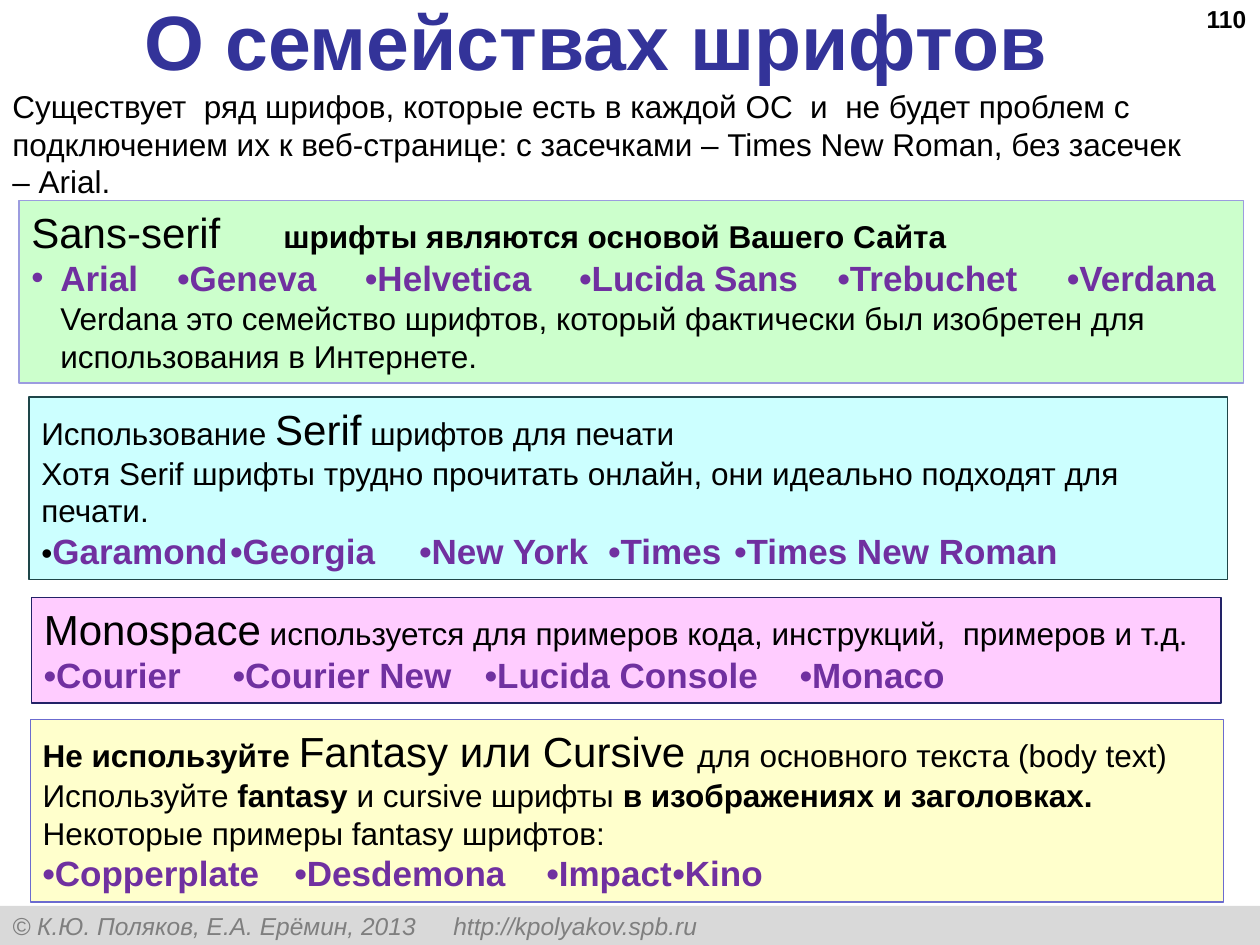
from lxml import etree
from pptx import Presentation
from pptx import util as u
from pptx.dml.color import RGBColor
from pptx.enum import shapes, text
from pptx.oxml.ns import qn

Inches, Pt = u.Inches, u.Pt
BLACK, PURPLE = "000000", "7030A0"


def style(font, size, color=BLACK, bold=False):
    font.name = "Arial"
    font.size = Pt(size)
    font.bold = bold
    font.color.rgb = RGBColor.from_string(color)


def add_paragraph(frame, runs, tabs=(), margin=0, bullet=None, align="l"):
    """Fill the empty first paragraph or append one; a run is (text, size, color, bold)."""
    paragraph = frame.paragraphs[0]
    if paragraph.runs:
        paragraph = frame.add_paragraph()
    properties = paragraph._p.get_or_add_pPr()
    properties.set("marL", str(Inches(margin)))
    properties.set("indent", str(-Inches(margin) if bullet else 0))
    properties.set("algn", align)
    if bullet:
        color = etree.SubElement(properties, qn("a:buClr"))
        etree.SubElement(color, qn("a:srgbClr"), val=PURPLE)
        etree.SubElement(properties, qn("a:buFont"), typeface="Arial")
        etree.SubElement(properties, qn("a:buChar"), char=bullet)
    if tabs:
        tab_list = etree.SubElement(properties, qn("a:tabLst"))
        for position, side in tabs:
            etree.SubElement(tab_list, qn("a:tab"), pos=str(Inches(position)), algn=side)
    if len(runs) == 1:
        style(paragraph.font, *runs[0][1:])
    for wording, *look in runs:
        run = paragraph.add_run()
        run.text = wording
        if len(runs) > 1:
            style(run.font, *look)
    return paragraph


prs = Presentation()
prs.slide_width, prs.slide_height = Inches(10), Inches(7.5)
slide = prs.slides.add_slide(prs.slide_layouts[6])

# Footer band
footer = slide.shapes.add_shape(
    shapes.MSO_SHAPE.RECTANGLE, Inches(0), Inches(7.19), Inches(10), Inches(0.31))
footer.shadow.inherit = False
footer.fill.solid()
footer.fill.fore_color.rgb = RGBColor.from_string("D9D9D9")
footer.line.fill.background()
footer.text_frame.vertical_anchor = text.MSO_ANCHOR.MIDDLE
credit = add_paragraph(
    footer.text_frame,
    [("© К.Ю. Поляков, Е.А. Ерёмин, 2013\thttp://kpolyakov.spb.ru", 14, "7F7F7F")],
    tabs=[(9.61, "r")])
credit.font.italic = True

# Title, page number and introduction
headings = [
    ((0, 0, 9.46, 0.63), "ctr", text.MSO_ANCHOR.MIDDLE,
     ("О семействах шрифтов", 44, "333399", True)),
    ((7.66, -0.02, 2.33, 0.52), "r", text.MSO_ANCHOR.TOP, ("110", 14, BLACK, True)),
    ((0, 0.64, 9.62, 1.01), "l", text.MSO_ANCHOR.TOP,
     ("Существует  ряд шрифов, которые есть в каждой OC  и  не будет проблем с "
      "подключением их к веб-странице: с засечками – Times New Roman, без засечек – Arial.",
      18)),
]
for place, align, anchor, wording in headings:
    frame = slide.shapes.add_textbox(*map(Inches, place)).text_frame
    frame.word_wrap = True
    frame.vertical_anchor = anchor
    add_paragraph(frame, [wording], align=align)

# Font families: place, fill, line, paragraphs as (runs, tab stops, margin, bullet)
families = [
    ((0.15, 1.59, 9.72, 1.45), "CCFFCC", "9C9CDF", [
        ([("Sans-serif\t", 24), ("шрифты являются основой Вашего Сайта", 18, BLACK, True)],
         [1.85]),
        ([("Arial\t•Geneva\t•Helvetica\t•Lucida Sans\t•Trebuchet\t•Verdana",
           20, PURPLE, True)], [1.16, 2.65, 4.35, 6.4, 8.22], 0.23, "•"),
        ([("Verdana это семейство шрифтов, который фактически был изобретен для "
           "использования в Интернете.", 18)], [], 0.23),
    ]),
    ((0.23, 3.15, 9.51, 1.45), "CCFFFF", "1E4649", [
        ([("Использование ", 18), ("Serif", 24), (" шрифтов для печати", 18)],),
        ([("Хотя Serif шрифты трудно прочитать онлайн, они идеально подходят для печати.",
           18)],),
        ([("•", 18),
          ("Garamond\t•Georgia\t•New York\t•Times\t•Times New Roman", 20, PURPLE, True)],
         [1.71, 3.24, 5.12, 6.72]),
    ]),
    ((0.25, 4.74, 9.44, 0.84), "FFCCFF", "222267", [
        ([("Monospace", 24),
          (" используется для примеров кода, инструкций,  примеров и т.д.", 18)],),
        ([("•Courier\t•Courier New\t•Lucida Console\t•Monaco", 20, PURPLE, True)],
         [1.39, 3.36, 5.83]),
    ]),
    ((0.24, 5.71, 9.47, 1.45), "FFFFCC", "6B6BCF", [
        ([("Не используйте ", 18, BLACK, True), ("Fantasy или Cursive ", 24),
          ("для основного текста (body text)", 18)],),
        ([("Используйте ", 18), ("fantasy ", 18, BLACK, True), ("и cursive шрифты ", 18),
          ("в изображениях и заголовках.", 18, BLACK, True)],),
        ([("Некоторые примеры fantasy шрифтов:", 18)],),
        ([("•Copperplate\t•Desdemona\t•Impact\t•Kino", 20, PURPLE, True)],
         [1.95, 3.86, 5.16]),
    ]),
]
for place, fill, line, paragraphs in families:
    panel = slide.shapes.add_shape(shapes.MSO_SHAPE.RECTANGLE, *map(Inches, place))
    panel.shadow.inherit = False
    panel.fill.solid()
    panel.fill.fore_color.rgb = RGBColor.from_string(fill)
    panel.line.color.rgb = RGBColor.from_string(line)
    panel.line.width = Pt(0.75)
    panel.text_frame.vertical_anchor = text.MSO_ANCHOR.TOP
    for runs, *layout in paragraphs:
        stops = [(stop, "l") for stop in layout[0]] if layout else []
        add_paragraph(panel.text_frame, runs, stops, *layout[1:])

prs.save("out.pptx")
